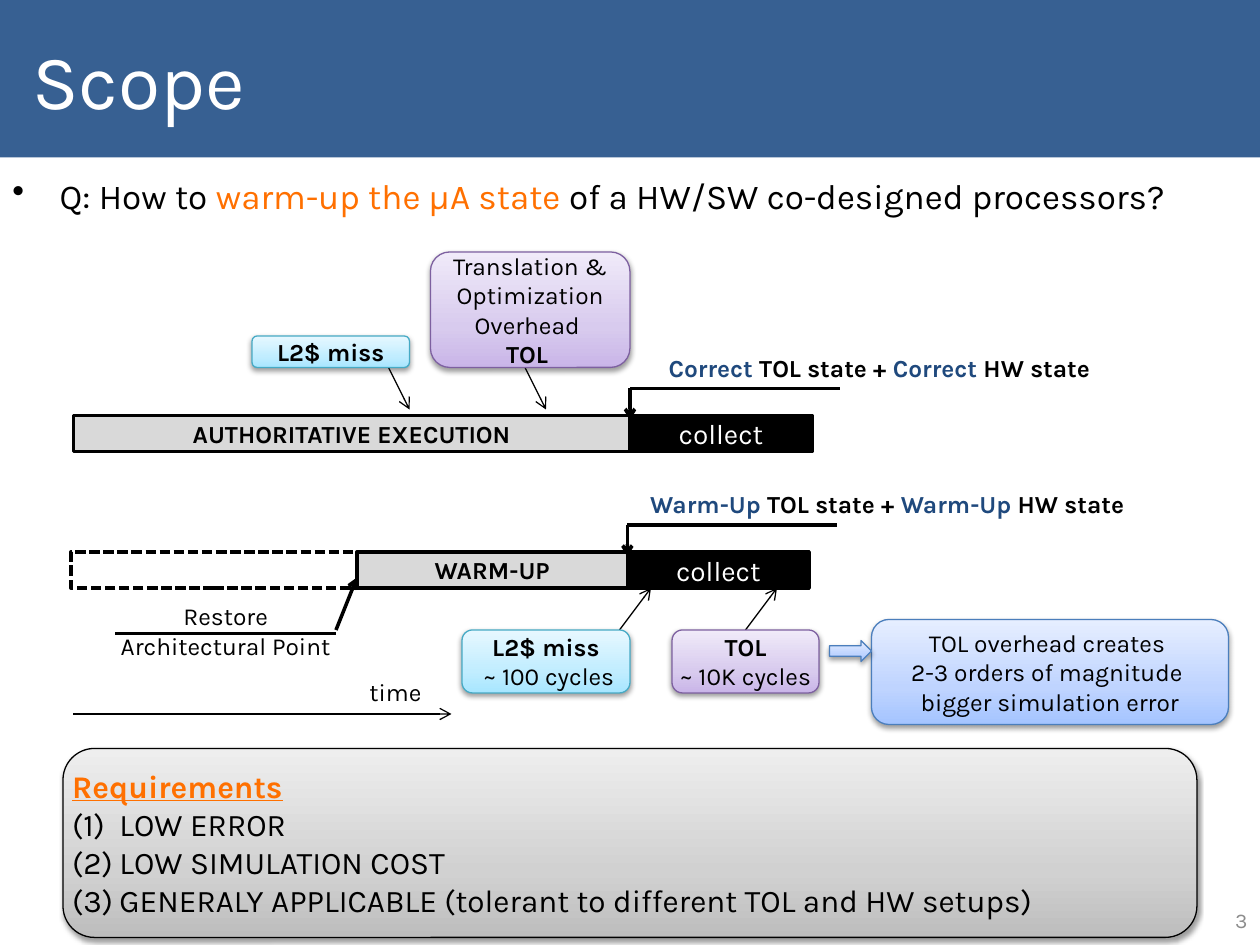
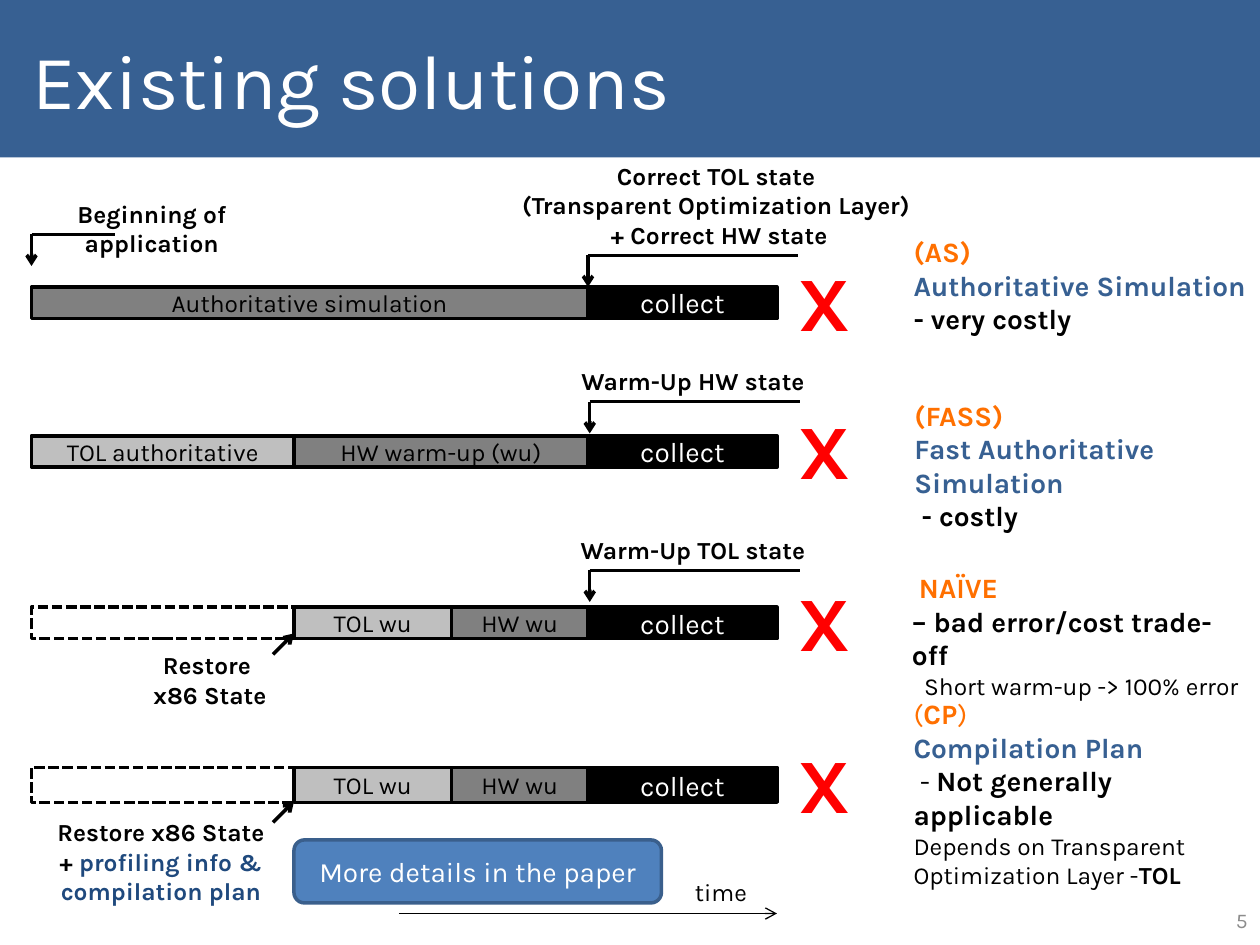
"""Build two slides on warming up simulations of co-designed processors."""
from copy import deepcopy
from dataclasses import dataclass, replace
from typing import NamedTuple

from pptx import Presentation
from pptx.dml.color import RGBColor
from pptx.enum import dml, shapes, text
from pptx.oxml import parse_xml
from pptx.oxml.ns import nsdecls, qn
from pptx.util import Pt

FONT = "Karla"
BLACK, WHITE, GREY = "000000", "FFFFFF", "8C8C8C"
BLUE, NAVY, ORANGE, RED = "376092", "1F497D", "FF7000", "FF0000"
PALE, LIGHT, DARK = "D9D9D9", "BFBFBF", "808080"
LEFT, MID, RIGHT = text.PP_ALIGN.LEFT, text.PP_ALIGN.CENTER, text.PP_ALIGN.RIGHT
RECT, ROUND = shapes.MSO_SHAPE.RECTANGLE, shapes.MSO_SHAPE.ROUNDED_RECTANGLE


class Bit(NamedTuple):
    """A stretch of text; empty fields follow the style of its box."""
    words: str
    color: str = ""
    bold: bool | None = None
    size: float = 0


class Seg(NamedTuple):
    """One segment of a timeline; no fill makes it dashed and empty."""
    width: float
    words: str = ""
    fill: str = ""


class Tone(NamedTuple):
    """Gradient colours from bottom to top, and the outline."""
    stops: tuple[str, str, str]
    edge: str


@dataclass(frozen=True)
class Style:
    """How the text in a box looks."""
    size: float = 14
    color: str = BLACK
    bold: bool = False
    align: int = MID
    middle: bool = False
    pad: bool = True


CYAN = Tone(("A7E6FF", "C1EDFF", "E7F8FF"), "46AAC5")
LILAC = Tone(("C9B5E8", "D8CBEE", "F0EAF9"), "7D60A0")
SKY = Tone(("A4C4FF", "BFD4FF", "E6EEFF"), "4B7EBC")
STEEL = Tone(("BDBDBD", "D1D1D1", "EEEEEE"), BLACK)

PLAIN = Style()
BOLD = Style(bold=True)
CARD = Style(middle=True, pad=False)
NOTE = Style(16, bold=True, align=LEFT)
FLUSH = replace(NOTE, pad=False)
LARGE = Style(16, WHITE, middle=True)


def rgb(code: str) -> RGBColor:
    """Turn a hex string into a colour."""
    return RGBColor.from_string(code)


def write(shape, lines: list, style: Style):
    """Write one paragraph per line; a line is a string or a list of bits."""
    frame = shape.text_frame
    frame.word_wrap = True
    frame.vertical_anchor = text.MSO_ANCHOR.MIDDLE if style.middle else text.MSO_ANCHOR.TOP
    if not style.pad:
        frame.margin_left = frame.margin_right = frame.margin_top = frame.margin_bottom = 0
    for row, line in enumerate(lines):
        para = frame.paragraphs[0] if row == 0 else frame.add_paragraph()
        para.alignment = style.align
        for bit in [Bit(line)] if isinstance(line, str) else line:
            run = para.add_run()
            run.text = bit.words
            font = run.font
            font.name, font.size = FONT, Pt(bit.size or style.size)
            font.bold = style.bold if bit.bold is None else bit.bold
            font.color.rgb = rgb(bit.color or style.color)
    return shape


def label(slide, x: float, y: float, w: float, h: float, lines: list, style: Style = BOLD):
    """Add a text box."""
    return write(slide.shapes.add_textbox(Pt(x), Pt(y), Pt(w), Pt(h)), lines, style)


def block(slide, kind: int, x: float, y: float, w: float, h: float,
          fill: str, edge: str = "", width: float = 2):
    """Add a preset shape with a flat fill and no shadow."""
    shape = slide.shapes.add_shape(kind, Pt(x), Pt(y), Pt(w), Pt(h))
    shape.shadow.inherit = False
    shape.fill.solid()
    shape.fill.fore_color.rgb = rgb(fill)
    if edge:
        shape.line.color.rgb, shape.line.width = rgb(edge), Pt(width)
    else:
        shape.line.fill.background()
    return shape


def card(slide, x: float, y: float, w: float, h: float, tone: Tone,
         lines: list, style: Style = CARD, kind: int = ROUND):
    """Add a shape with a gradient, a soft shadow and text."""
    shape = block(slide, kind, x, y, w, h, WHITE, tone.edge, 0.75)
    shape.fill.gradient()
    shape.fill.gradient_angle = 90
    props = shape._element.spPr
    stops = props.find(".//" + qn("a:gsLst"))
    stops.insert(1, deepcopy(stops[0]))
    for stop, place, code in zip(shape.fill.gradient_stops, (0, 0.35, 1), tone.stops):
        stop.position, stop.color.rgb = place, rgb(code)
    props.find(qn("a:effectLst")).append(parse_xml(
        f'<a:outerShdw {nsdecls("a")} blurRad="{Pt(3.1)}" dist="{Pt(1.6)}" dir="5400000" '
        'rotWithShape="0"><a:srgbClr val="000000"><a:alpha val="38000"/></a:srgbClr>'
        '</a:outerShdw>'))
    return write(shape, lines, style)


def stroke(slide, x: float, y: float, to_x: float, to_y: float,
           width: float = 0.75, head: bool = True) -> None:
    """Draw a straight line, with an arrowhead at its end if asked."""
    line = slide.shapes.add_connector(
        shapes.MSO_CONNECTOR.STRAIGHT, Pt(x), Pt(y), Pt(to_x), Pt(to_y))
    line.line.color.rgb, line.line.width = rgb(BLACK), Pt(width)
    if head:
        line.line._get_or_add_ln().append(
            parse_xml(f'<a:tailEnd {nsdecls("a")} type="arrow"/>'))
    line._element.spPr.append(parse_xml(f'<a:effectLst {nsdecls("a")}/>'))


def drop(slide, x: float, y: float, reach: float = 120) -> None:
    """Draw a shelf under a label, with an arrow down from its left end."""
    stroke(slide, x, y, x, y + 18, 2)
    stroke(slide, x, y, x + reach, y, 1.75, False)


def track(slide, x: float, y: float, h: float, segs: list[Seg]) -> None:
    """Draw the segments of a timeline from left to right."""
    for seg in segs:
        bar = block(slide, RECT, x, y, seg.width, h, seg.fill or WHITE, BLACK)
        if not seg.fill:
            bar.line.dash_style = dml.MSO_LINE.SQUARE_DOT
        elif seg.fill == BLACK:
            write(bar, [seg.words], LARGE)
        else:
            write(bar, [seg.words], Style(bold=seg.fill == PALE, middle=True))
        x += seg.width


def axis(slide, x: float, y: float) -> None:
    """Draw the time arrow and its name."""
    stroke(slide, x, y, x + 216, y)
    label(slide, x + 162, y - 24.5, 48, 24.5, ["time"], Style(align=LEFT))


def indent(para, left: float, hang: float = 0, mark: str = "") -> None:
    """Indent a paragraph, with a bullet or number given as XML."""
    props = para._p.get_or_add_pPr()
    props.set("marL", str(Pt(left)))
    props.set("indent", str(Pt(-hang)))
    if mark:
        props.append(parse_xml(mark.replace("/>", f' {nsdecls("a")}/>')))


def start(deck, title: str, number: int):
    """Add a slide with the title band and the page number."""
    slide = deck.slides.add_slide(deck.slide_layouts[6])
    block(slide, RECT, 0, 0, 720, 90, BLUE)
    label(slide, 11.5, 0, 708.5, 90, [title], Style(44, WHITE, align=LEFT, middle=True))
    label(slide, 552, 511, 168, 29, [str(number)], Style(12, GREY, align=RIGHT, middle=True))
    return slide


def scope(deck) -> None:
    """Build the slide that states the problem."""
    slide = start(deck, "Scope", 3)
    body = label(slide, 0, 96, 708.5, 444, [[
        Bit("Q: How to "), Bit("warm-up the µA state ", ORANGE),
        Bit("of a HW/SW co-designed processors?")]], Style(20, align=LEFT))
    ask = body.text_frame.paragraphs[0]
    ask.space_before = Pt(4)
    indent(ask, 27, 27, '<a:buChar char="•"/>')

    needs = card(slide, 36, 427.7, 648, 108, STEEL, [
        [Bit("Requirements", ORANGE, True)], "LOW ERROR", "LOW SIMULATION COST",
        "GENERALY APPLICABLE (tolerant to different TOL and HW setups)",
    ], Style(18, align=LEFT, middle=True, pad=False))
    head, *items = needs.text_frame.paragraphs
    head.runs[0].font.underline = True
    for item in items:
        indent(item, 27, 27, '<a:buAutoNum type="arabicParenBoth"/>')

    track(slide, 42, 237.5, 20.5,
          [Seg(318, "AUTHORITATIVE EXECUTION", PALE), Seg(104, "collect", BLACK)])
    track(slide, 40.5, 315.5, 20.5,
          [Seg(163.5), Seg(154.5, "WARM-UP", PALE), Seg(104, "collect", BLACK)])
    for word, x, y, w, end in (("Correct", 360.5, 198, 287.5, " HW state "),
                               ("Warm-Up", 359.5, 276, 295, " HW state")):
        label(slide, x, y, w, 24.5, [[Bit(word, NAVY), Bit(" TOL state + "),
                                      Bit(word, NAVY), Bit(end)]])
    drop(slide, 360, 222)
    drop(slide, 358.5, 300)

    stroke(slide, 66, 362, 192, 362, 1.75, False)
    label(slide, 36, 340, 186, 41, ["Restore", "Architectural Point"], PLAIN)
    stroke(slide, 192, 360, 204, 330, 2)
    for x in (222, 300):
        stroke(slide, x, 210, x + 12, 234)
    for x in (354, 426):
        stroke(slide, x, 360, x + 18, 336)

    card(slide, 144, 192, 90, 18, CYAN, [[Bit("L2$ miss", bold=True)]])
    card(slide, 246, 144, 114, 66, LILAC,
         ["Translation & Optimization", "Overhead ", [Bit("TOL ", bold=True)]])
    card(slide, 264, 360, 96, 36, CYAN, [[Bit("L2$ miss", bold=True)], " ~ 100 cycles"])
    card(slide, 384, 360, 84, 36, LILAC, [[Bit("TOL", bold=True)], "~ 10K cycles"])
    card(slide, 498, 354, 204, 60, SKY, [
        "TOL overhead creates ", "2-3 orders of magnitude ", "bigger simulation error"])
    card(slide, 474, 366, 24, 12, SKY, [], kind=shapes.MSO_SHAPE.RIGHT_ARROW)
    axis(slide, 42, 408)


def rivals(deck) -> None:
    """Build the slide that compares the known methods."""
    slide = start(deck, "Existing solutions", 5)
    last = Seg(108, "collect", BLACK)
    short = [Seg(150), Seg(90, "TOL wu", LIGHT), Seg(78, "HW wu", DARK), last]
    for y, h, segs in (
            (164, 18, [Seg(318, "Authoritative simulation", DARK), last]),
            (249, 18, [Seg(150, "TOL authoritative", LIGHT),
                       Seg(168, "HW warm-up (wu)", DARK), last]),
            (347, 18, short), (438.5, 20, short)):
        track(slide, 18, y, h, segs)
        label(slide, 456, y + h / 2 - 27.7, 24, 53, ["X"],
              Style(44, RED, True, LEFT, pad=False))

    label(slide, 0, 110, 173.5, 41, ["Beginning of", "application"])
    drop(slide, 18, 134, 48)
    label(slide, 291, 88.5, 240, 58, [
        "Correct TOL state ", "(Transparent Optimization Layer) ", "+ Correct HW state"])
    drop(slide, 336, 146)
    for part, y in (("HW", 229.7), ("TOL", 326)):
        label(slide, 276, y - 24, 240, 24.5, [f"Warm-Up {part} state"])
        drop(slide, 337, y)

    for y in (374, 470):
        stroke(slide, 156, y, 168, y - 12, 2)
    label(slide, 72, 368, 96, 41, ["Restore ", "x86 State"])
    label(slide, 24, 463.5, 136, 58, [
        "Restore x86 State", [Bit("+ "), Bit("profiling info & compilation plan", NAVY)]])

    label(slide, 522, 134, 198, 58, [
        [Bit("(AS)", ORANGE)], [Bit("Authoritative Simulation", BLUE)], "- very costly"], FLUSH)
    label(slide, 515.5, 224, 204.5, 85, [
        [Bit("(FASS)", ORANGE)], [Bit("Fast Authoritative Simulation", BLUE)],
        " - costly"], NOTE)
    naive = label(slide, 514, 322.5, 206, 63.5, [
        [Bit(" NAÏVE", ORANGE)], "– bad error/cost trade-off",
        [Bit("Short warm-up -> 100% error", bold=False, size=14)]], NOTE)
    indent(naive.text_frame.paragraphs[-1], 7)
    label(slide, 522, 398, 198, 111.5, [
        [Bit("(", ORANGE, False), Bit("CP", ORANGE), Bit(")", ORANGE, False)],
        [Bit("Compilation Plan", BLUE)],
        [Bit(" - ", bold=False), Bit("Not generally")], "applicable",
        [Bit("Depends on Transparent Optimization Layer -", bold=False, size=14),
         Bit("TOL", size=14)]], FLUSH)

    axis(slide, 228, 522)
    more = block(slide, ROUND, 168, 480, 210, 36, "4F81BD", "3A5F8C")
    write(more, ["More details in the paper"], LARGE)


def main() -> None:
    """Build and save the deck."""
    deck = Presentation()
    deck.slide_width, deck.slide_height = Pt(720), Pt(540)
    scope(deck)
    rivals(deck)
    deck.save("out.pptx")


main()
